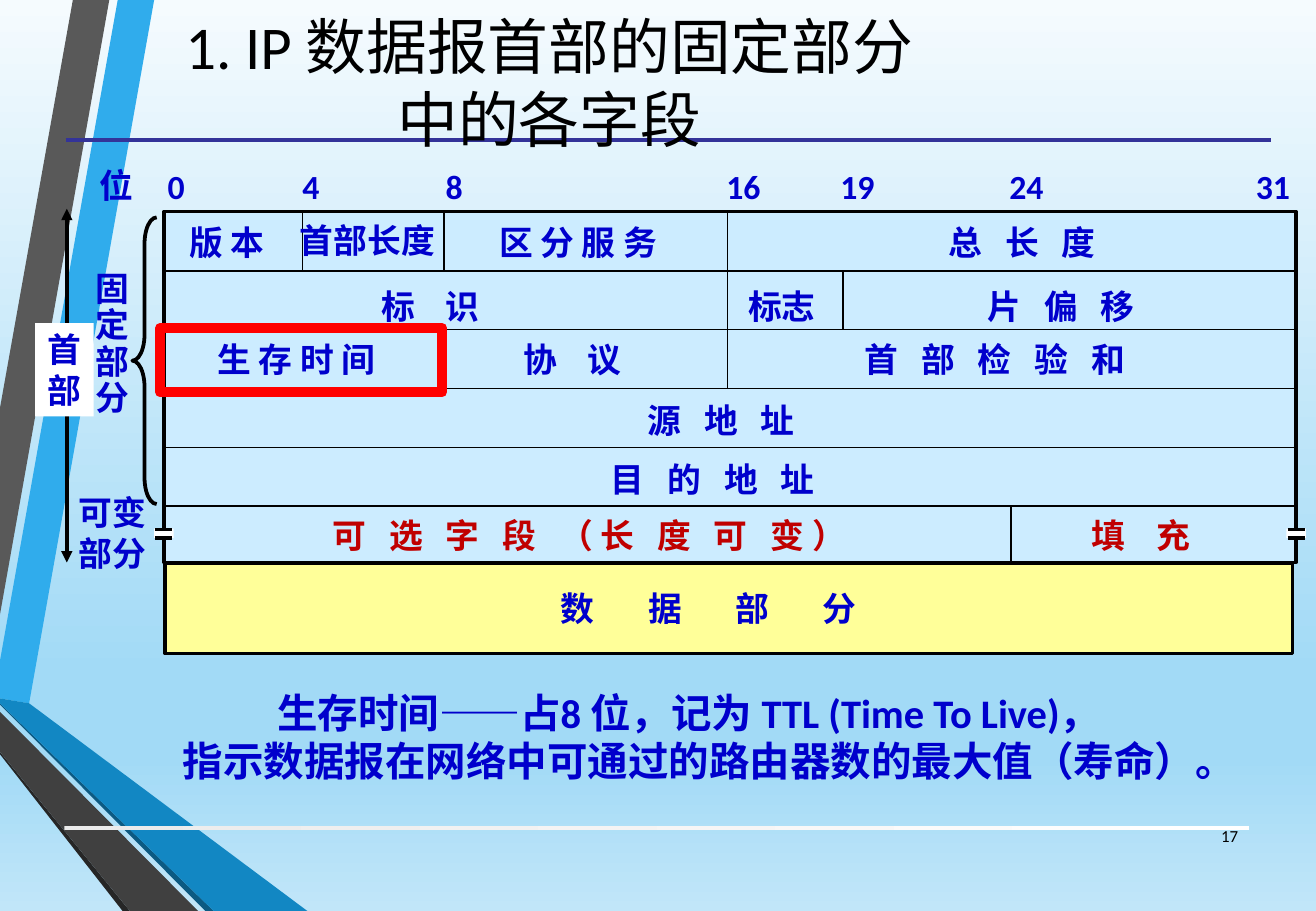
"""Build a slide showing the fixed fields of the IP datagram header."""
import copy
from dataclasses import dataclass
from typing import Optional

import pptx
import pptx.dml.color
import pptx.enum.shapes
import pptx.enum.text
import pptx.oxml
import pptx.oxml.ns
import pptx.shapes.autoshape
import pptx.slide
import pptx.util

Pt = pptx.util.Pt
qn = pptx.oxml.ns.qn
ShapeKind = pptx.enum.shapes.MSO_SHAPE
Align = pptx.enum.text.PP_ALIGN
Anchor = pptx.enum.text.MSO_ANCHOR

COLORS = {
    "sky": "30ACEC", "gray": "595959", "ink": "262626", "navy": "0C5A82",
    "ocean": "1287C3", "charcoal": "404040", "rule": "333399",
    "silver": "EBEBEB", "white": "FFFFFF", "black": "000000",
    "header": "CCECFF", "data": "FFFF99", "text": "0000CC",
    "optional": "C00000", "highlight": "FF0000",
}
BACKGROUND_STOPS = [(0, "F5FBFE"), (74, "A2DAF6"), (83, "A2DAF6"), (100, "C1E6F9")]
SPACE_WIDTH = 4.52


@dataclass
class Ribbon:
    color: str
    points: list[tuple[float, float]]


@dataclass
class Box:
    left: float
    top: float
    width: float
    height: float
    fill: Optional[str] = None
    line: Optional[str] = None
    weight: float = 0
    kind: ShapeKind = ShapeKind.RECTANGLE


@dataclass
class Label:
    text: str
    left: float
    top: float
    width: float
    height: float = 31
    size: float = 20
    color: str = "text"
    bold: bool = True
    gap: int = 1
    align: Align = Align.LEFT
    anchor: Anchor = Anchor.TOP
    line_spacing: float = 1.0
    wrap: bool = False
    fill: Optional[str] = None


@dataclass
class Line:
    x1: float
    y1: float
    x2: float
    y2: float
    weight: float = 1
    color: str = "black"
    arrows: bool = False


def bit_x(bit: float) -> float:
    return 95.3 + 21 * bit


def row_y(row: float) -> float:
    return 125.6 + 34.9 * row


RIBBONS = [
    Ribbon("sky", [(0, 391.7), (0, 414), (17.3, 416.9), (91.4, 0), (69.8, 0)]),
    Ribbon("gray", [(64.8, 0), (43.2, 0), (0, 241.9), (0, 364.3)]),
    Ribbon("ink", [(0, 445.7), (0, 447.1), (72.7, 540), (77, 540)]),
    Ribbon("navy", [(0, 416.9), (0, 417.6), (121.7, 540), (126.7, 540)]),
    Ribbon("ocean", [(0, 416.9), (126.7, 540), (182.2, 540), (17.3, 416.9), (0, 414)]),
    Ribbon("charcoal", [(0, 445.7), (77, 540), (117.4, 540), (0, 421.9)]),
]
FRAMES = [
    Box(97.2, 125.3, 671, 208.1, "header", "black", 2),
    Box(97.9, 334.1, 668.2, 53.3, "data", "black", 2.25),
]
DIVIDERS = [(4, 0, 1), (8, 0, 1), (8, 2, 3), (16, 0, 3), (24, 5, 6), (19.25, 1, 2)]
GRID_LINES = [Line(96.5, row_y(row), 769, row_y(row)) for row in range(1, 6)] + [
    Line(bit_x(bit), row_y(first), bit_x(bit), row_y(last)) for bit, first, last in DIVIDERS
]
BIT_LABELS = [
    Label(text, left, 95, 25.6 if len(text) == 1 else 36.7)
    for text, left in [("0", 92.2), ("4", 172.1), ("8", 257), ("16", 423.4),
                       ("19", 491), ("24", 591.1), ("31", 737.3)]
]
FIELD_LABELS = [
    Label("版 本", 105.1, 128.2, 60.5),
    Label("首部长度", 170.6, 126.7, 95),
    Label("区 分 服 务", 288.7, 128.2, 112.3),
    Label("总 长 度", 555.1, 128.2, 108.7, gap=3),
    Label("标 识", 218.9, 165.6, 77, gap=4),
    Label("标志", 436.3, 165.6, 54.7),
    Label("片 偏 移", 578.2, 165.6, 108.7, gap=3),
    Label("生 存 时 间", 121.7, 197.3, 112.3),
    Label("协 议", 303.1, 197.3, 77, gap=4),
    Label("首 部 检 验 和", 505.4, 197.3, 182.9, gap=3),
    Label("源 地 址", 376.6, 233.3, 108.7, gap=3),
    Label("目 的 地 址", 355, 268.6, 145.4, gap=3),
    Label("可 选 字 段 （长 度 可 变）", 190.1, 301.7, 328.3, color="optional", gap=3),
    Label("填 充", 640.1, 301.7, 77, color="optional", gap=4),
    Label("数 据 部 分", 325.4, 344.9, 202, gap=7),
]
SIDE_LABELS = [
    Label("位", 51.8, 94.3, 34.6),
    Label("固\n定\n部\n分", 49.7, 157.7, 34.6, 94.3, line_spacing=0.9),
    Label("可变\n部分", 39.6, 288, 54.7, 55.4),
]
HEADER_LABEL = Label("首\n部", 20.9, 191.5, 34.6, 55.4, fill="white")
CAPTIONS = [
    Label("生存时间——占8 位，记为 TTL (Time To Live)，\n"
          "指示数据报在网络中可通过的路由器数的最大值（寿命）。",
          89.3, 404, 638, 65.5, size=24, align=Align.CENTER),
    Label("1. IP 数据报首部的固定部分\v中的各字段", 31, 3.6, 589, 89.3, size=36,
          color="black", bold=False, align=Align.CENTER, anchor=Anchor.MIDDLE, wrap=True),
    Label("17", 704.2, 481, 36.7, 28.8, size=10, color="black", bold=False,
          align=Align.RIGHT, anchor=Anchor.MIDDLE, wrap=True),
]


def rgb(name: str) -> pptx.dml.color.RGBColor:
    return pptx.dml.color.RGBColor.from_string(COLORS[name])


def paint_background(slide: pptx.slide.Slide) -> None:
    fill = slide.background.fill
    fill.gradient()
    fill.gradient_angle = 270
    stop_list = next(slide.element.iter(qn("a:gsLst")))
    for _ in range(len(BACKGROUND_STOPS) - len(stop_list)):
        stop_list.append(copy.deepcopy(stop_list[0]))
    for stop, (position, color) in zip(fill.gradient_stops, BACKGROUND_STOPS):
        stop.position = position / 100
        stop.color.rgb = pptx.dml.color.RGBColor.from_string(color)


def draw_ribbon(slide: pptx.slide.Slide, ribbon: Ribbon) -> None:
    start, *others = [(Pt(x), Pt(y)) for x, y in ribbon.points]
    builder = slide.shapes.build_freeform(*start)
    builder.add_line_segments(others, close=True)
    shape = builder.convert_to_shape()
    shape.shadow.inherit = False
    shape.fill.solid()
    shape.fill.fore_color.rgb = rgb(ribbon.color)
    shape.line.fill.background()


def draw_box(slide: pptx.slide.Slide, box: Box) -> pptx.shapes.autoshape.Shape:
    shape = slide.shapes.add_shape(
        box.kind, Pt(box.left), Pt(box.top), Pt(box.width), Pt(box.height))
    shape.shadow.inherit = False
    if box.fill:
        shape.fill.solid()
        shape.fill.fore_color.rgb = rgb(box.fill)
    else:
        shape.fill.background()
    if box.line:
        shape.line.color.rgb = rgb(box.line)
        shape.line.width = Pt(box.weight)
    else:
        shape.line.fill.background()
    return shape


def draw_line(slide: pptx.slide.Slide, line: Line) -> None:
    connector = slide.shapes.add_connector(
        pptx.enum.shapes.MSO_CONNECTOR.STRAIGHT,
        Pt(line.x1), Pt(line.y1), Pt(line.x2), Pt(line.y2))
    connector.line.color.rgb = rgb(line.color)
    connector.line.width = Pt(line.weight)
    properties = connector.element.find(qn("p:spPr"))
    if line.arrows:
        for end in ("a:headEnd", "a:tailEnd"):
            arrow = pptx.oxml.ns.qn(end)
            properties.find(qn("a:ln")).makeelement(arrow, {"type": "triangle"})
            properties.find(qn("a:ln")).append(
                properties.makeelement(arrow, {"type": "triangle"}))
    properties.append(properties.makeelement(qn("a:effectLst"), {}))


def draw_label(slide: pptx.slide.Slide, label: Label) -> None:
    shape = slide.shapes.add_textbox(
        Pt(label.left), Pt(label.top), Pt(label.width), Pt(label.height))
    if label.fill:
        shape.fill.solid()
        shape.fill.fore_color.rgb = rgb(label.fill)
    frame = shape.text_frame
    frame.word_wrap = label.wrap
    frame.vertical_anchor = label.anchor
    frame.text = label.text
    for paragraph in frame.paragraphs:
        paragraph.alignment = label.align
        paragraph.line_spacing = label.line_spacing
        paragraph.font.name = "Calibri"
        paragraph.font.size = Pt(label.size)
        paragraph.font.bold = label.bold
        paragraph.font.color.rgb = rgb(label.color)
    if label.gap > 1:
        for properties in shape.element.iter(qn("a:defRPr")):
            properties.set("spc", str(round((label.gap - 1) * SPACE_WIDTH * 50)))


def draw_break_mark(slide: pptx.slide.Slide, left: float) -> None:
    draw_box(slide, Box(left, 313.4, 11.5, 5.4, "white"))
    for y in (314, 319):
        draw_line(slide, Line(left + 0.7, y, left + 10.8, y, 2))


def main() -> None:
    presentation = pptx.Presentation()
    presentation.slide_width, presentation.slide_height = Pt(780), Pt(540)
    slide = presentation.slides.add_slide(presentation.slide_layouts[6])
    paint_background(slide)
    for ribbon in RIBBONS:
        draw_ribbon(slide, ribbon)
    footer_rule = draw_box(slide, Box(38.2, 489.6, 702, 2.2))
    footer_rule.fill.gradient()
    footer_rule.fill.gradient_angle = 0
    for stop, color in zip(footer_rule.fill.gradient_stops, ("silver", "white")):
        stop.color.rgb = rgb(color)
    draw_line(slide, Line(38.9, 82.8, 753.1, 82.8, 2.25, "rule"))
    for frame in FRAMES:
        draw_box(slide, frame)
    for line in GRID_LINES:
        draw_line(slide, line)
    for label in BIT_LABELS + FIELD_LABELS + SIDE_LABELS:
        draw_label(slide, label)
    for left in (91.4, 762.5):
        draw_break_mark(slide, left)
    draw_line(slide, Line(39.6, 123.8, 39.6, 333.4, 2.25, arrows=True))
    draw_label(slide, HEADER_LABEL)
    brace = draw_box(slide, Box(78.5, 128.9, 14.4, 169.9, line="black", weight=2.25,
                                kind=ShapeKind.LEFT_BRACE))
    brace.adjustments[0] = 1.08
    draw_box(slide, Box(95, 194.4, 167, 38.2, line="highlight", weight=6))
    for caption in CAPTIONS:
        draw_label(slide, caption)
    presentation.save("out.pptx")


if __name__ == "__main__":
    main()
